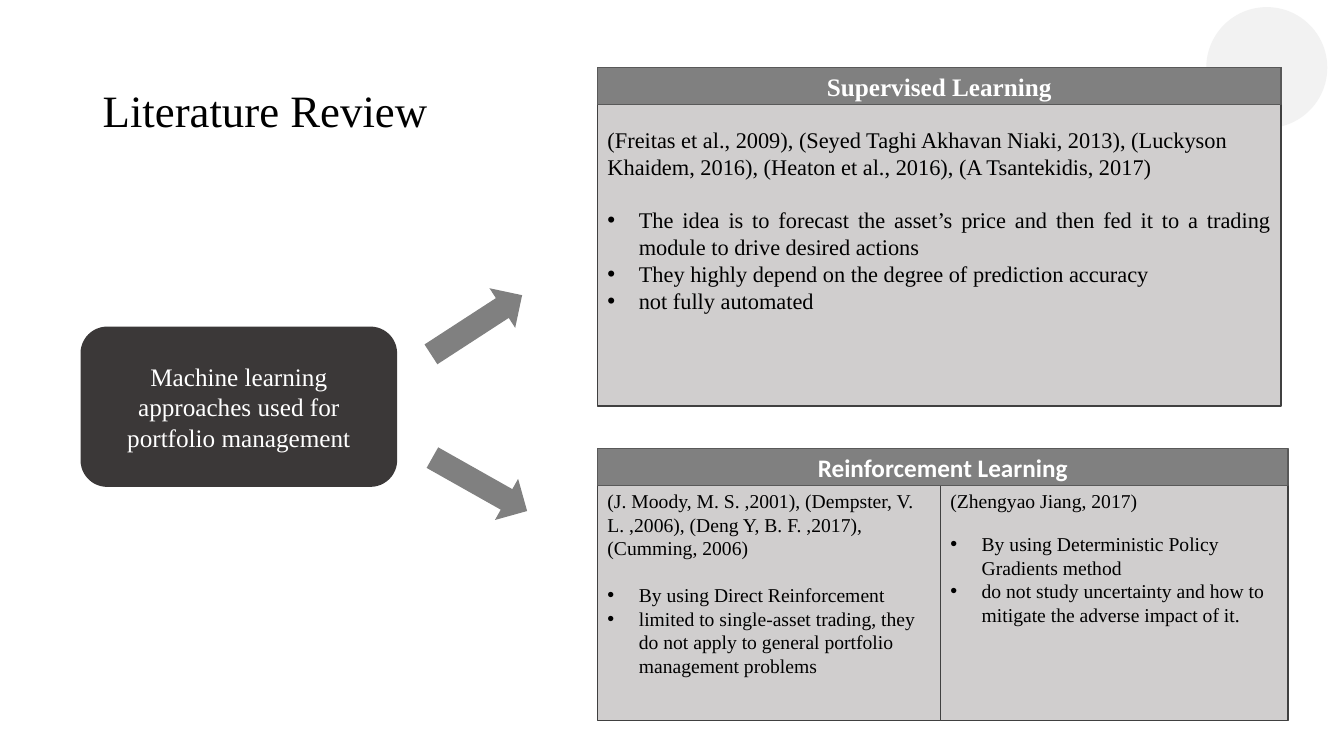
from lxml.etree import SubElement
from pptx import Presentation
from pptx.dml.color import RGBColor
from pptx.enum.shapes import MSO_SHAPE
from pptx.enum.text import MSO_ANCHOR, PP_ALIGN
from pptx.oxml.ns import qn
from pptx.util import Cm, Pt

SERIF = "Times New Roman"
LEFT = 15.06


def tint(code):
    """Return the colour for a hex string."""
    return RGBColor.from_string(code)


def style(par, size, color="000000", font=SERIF, bold=False, align=PP_ALIGN.LEFT):
    """Format a paragraph and its runs."""
    par.alignment = align
    for run in par.runs:
        run.font.size = Pt(size)
        run.font.name = font
        run.font.bold = bold
        run.font.color.rgb = tint(color)


def add_block(slide, kind, place, fill, line=None, turn=0):
    """Add a flat preset shape with an optional outline and rotation."""
    shape = slide.shapes.add_shape(kind, *map(Cm, place))
    shape.shadow.inherit = False
    shape.fill.solid()
    shape.fill.fore_color.rgb = tint(fill)
    if line:
        shape.line.color.rgb = tint(line)
        shape.line.width = Pt(1)
    else:
        shape.line.fill.background()
    shape.rotation = turn
    return shape


def add_label(slide, kind, place, fill, text, line=None, font=SERIF, bold=False):
    """Add a shape with centred white text."""
    shape = add_block(slide, kind, place, fill, line)
    frame = shape.text_frame
    frame.word_wrap = True
    frame.vertical_anchor = MSO_ANCHOR.MIDDLE
    frame.text = text
    style(frame.paragraphs[0], 18, "FFFFFF", font, bold, PP_ALIGN.CENTER)


def add_bullet(par):
    """Give a paragraph a hanging round bullet."""
    props = par._p.get_or_add_pPr()
    props.set("marL", str(Cm(0.79)))
    props.set("indent", str(Cm(-0.79)))
    SubElement(props, qn("a:buFont")).set("typeface", "Arial")
    SubElement(props, qn("a:buChar")).set("char", "•")


def add_panel(slide, place, cites, points, size, gap, align=PP_ALIGN.LEFT, top=0.13):
    """Add a grey panel with citations above a bullet list."""
    shape = add_block(slide, MSO_SHAPE.RECTANGLE, place, "D0CECE", "404040")
    frame = shape.text_frame
    frame.word_wrap = True
    frame.vertical_anchor = MSO_ANCHOR.TOP
    frame.margin_top = Cm(top)
    frame.text = "\n".join([cites, *points])
    first, *rest = frame.paragraphs
    style(first, size)
    for par in rest:
        style(par, size, align=align)
        add_bullet(par)
    rest[0].space_before = Pt(gap)


def add_title(slide, text):
    """Add the slide heading."""
    box = slide.shapes.add_textbox(Cm(2.34), Cm(1.02), Cm(29.21), Cm(3.68))
    frame = box.text_frame
    frame.word_wrap = True
    frame.vertical_anchor = MSO_ANCHOR.MIDDLE
    frame.text = text
    frame.paragraphs[0].line_spacing = 0.9
    style(frame.paragraphs[0], 32)


def main():
    """Build and save the literature review slide."""
    deck = Presentation()
    deck.slide_width, deck.slide_height = Cm(33.87), Cm(19.05)
    slide = deck.slides.add_slide(deck.slide_layouts[6])

    add_block(slide, MSO_SHAPE.OVAL, (30.4, 0.18, 3.05, 3.05), "F2F2F2")
    for left, top, turn in ((10.64, 7.59, 327), (10.72, 11.61, 29.4)):
        place = (left, top, 2.74, 1.19)
        add_block(slide, MSO_SHAPE.RIGHT_ARROW, place, "808080", turn=turn)
    add_title(slide, "Literature Review")
    add_label(slide, MSO_SHAPE.FLOWCHART_ALTERNATE_PROCESS, (2.03, 8.23, 7.98, 4.04),
              "3B3838", "Machine learning approaches used for portfolio management")

    add_panel(slide, (LEFT, 12.19, 8.64, 5.97),
              "(J. Moody, M. S. ,2001), (Dempster, V. L. ,2006), "
              "(Deng Y, B. F. ,2017), (Cumming, 2006)",
              ["By using Direct Reinforcement",
               "limited to single-asset trading, they do not apply to "
               "general portfolio management problems"], 14, 17)
    add_panel(slide, (LEFT + 8.64, 12.19, 8.76, 5.97), "(Zhengyao Jiang, 2017)",
              ["By using Deterministic Policy Gradients method",
               "do not study uncertainty and how to mitigate the adverse "
               "impact of it."], 14, 14)
    add_panel(slide, (LEFT, 1.7, 17.22, 8.53),
              "(Freitas et al., 2009), (Seyed Taghi Akhavan Niaki, 2013), "
              "(Luckyson Khaidem, 2016), (Heaton et al., 2016), "
              "(A Tsantekidis, 2017)",
              ["The idea is to forecast the asset’s price and then fed it to a "
               "trading module to drive desired actions",
               "They highly depend on the degree of prediction accuracy",
               "not fully automated"], 16, 19, PP_ALIGN.JUSTIFY, 1.48)

    for top, width, text, font in ((11.3, 17.4, "Reinforcement Learning", "Calibri"),
                                   (1.7, 17.22, "Supervised Learning", SERIF)):
        add_label(slide, MSO_SHAPE.RECTANGLE, (LEFT, top, width, 0.94), "808080",
                  text, "595959", font, True)
    deck.save("out.pptx")


if __name__ == "__main__":
    main()
